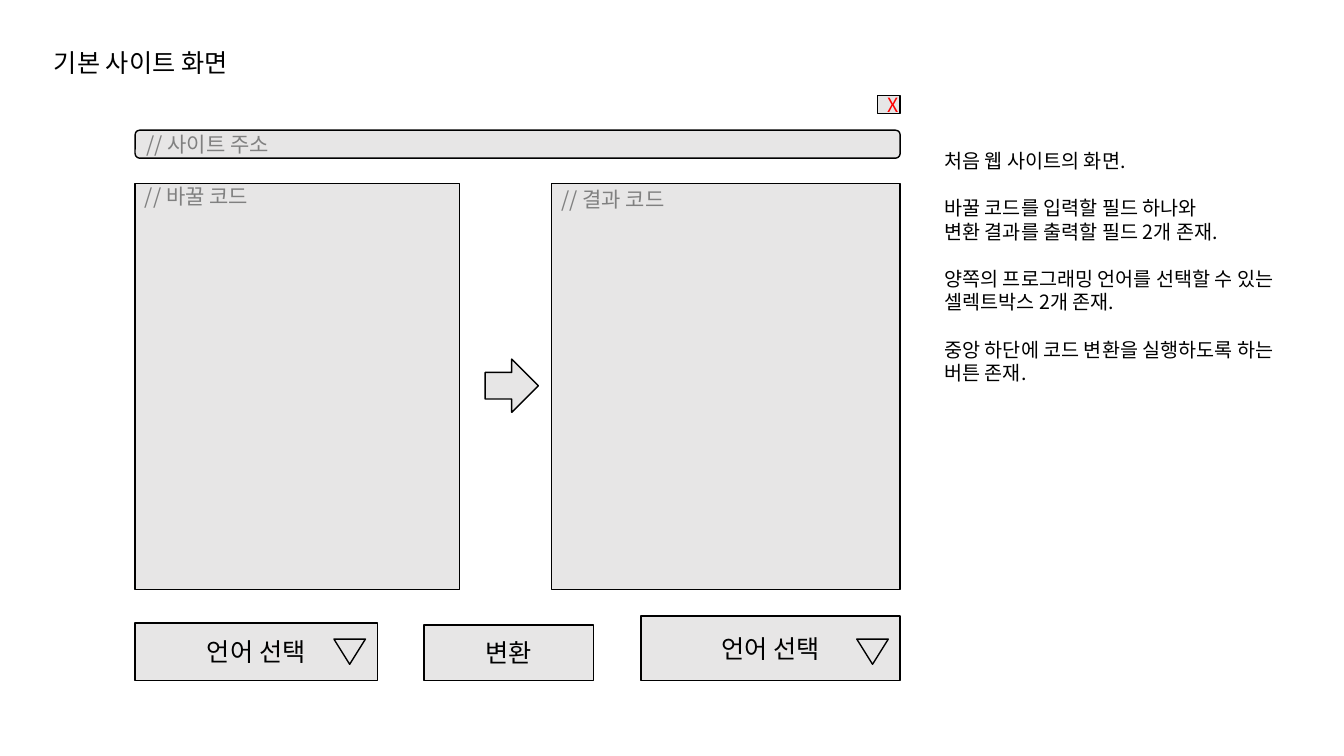
from pptx import Presentation
from pptx.dml.color import RGBColor as RGB
from pptx.enum.shapes import MSO_SHAPE as SHAPE
from pptx.enum.text import MSO_ANCHOR as ANCHOR, PP_ALIGN as ALIGN
from pptx.oxml.ns import qn
from pptx.util import Pt

# Content
TITLE = "기본 사이트 화면"
NOTES = [
    ["처음 웹 사이트의 화면."],
    ["바꿀 코드를 입력할 필드 하나와 ", "변환 결과를 출력할 필드 2개 존재."],
    ["양쪽의 프로그래밍 언어를 선택할 수 있는", "셀렉트박스 2개 존재."],
    ["중앙 하단에 코드 변환을 실행하도록 하는", "버튼 존재."],
]
FONT = "Noto Sans CJK KR"
HEX = {"ink": "000000", "fill": "E7E6E6", "hint": "808080", "close": "FF0000"}

# Frame of the mock site
LEFT, RIGHT = 96.5, 643
TOP, BASE = 131, 486
TALL = 290

# Panels: text, left, width, inset above the text
PANELS = [("// 바꿀 코드", LEFT, 232, 0), ("// 결과 코드", 394, RIGHT - 394, 2)]
# Buttons: text, left, width, height, has a drop mark
BUTTONS = [
    ("변환", 303, 121, 39.5, False),
    ("언어 선택", LEFT, 173, 41, True),
    ("언어 선택", 458, RIGHT - 458, 46, True),
]

deck = Presentation()
deck.slide_width, deck.slide_height = Pt(960), Pt(540)
slide = deck.slides.add_slide(deck.slide_layouts[6])


def style(para, size, tint, align=ALIGN.LEFT):
    para.alignment = align
    para.line_spacing = Pt(size * 1.2)
    for run in para.runs:
        font = run.font
        font.name, font.size = FONT, Pt(size)
        font.color.rgb = RGB.from_string(HEX[tint])
        east = font._element.makeelement(qn("a:ea"), {"typeface": FONT})
        font._element.find(qn("a:latin")).addnext(east)


def draw(kind, x, y, wide, high, text="", size=18, tint="ink", align=ALIGN.CENTER):
    part = slide.shapes.add_shape(kind, Pt(x), Pt(y), Pt(wide), Pt(high))
    part.shadow.inherit = False
    part.fill.solid()
    part.fill.fore_color.rgb = RGB.from_string(HEX["fill"])
    part.line.color.rgb = RGB.from_string(HEX["ink"])
    part.line.width = Pt(1)
    if text:
        frame = part.text_frame
        frame.text = text
        frame.vertical_anchor = ANCHOR.MIDDLE
        style(frame.paragraphs[0], size, tint, align)
    return part


def label(x, y, wide, high, groups, size):
    frame = slide.shapes.add_textbox(Pt(x), Pt(y), Pt(wide), Pt(high)).text_frame
    frame.word_wrap = True
    frame.text = "\n".join(line for group in groups for line in group)
    paras = iter(frame.paragraphs)
    for i, group in enumerate(groups):
        for j, _ in enumerate(group):
            para = next(paras)
            style(para, size, "ink")
            if i and not j:
                para.space_before = Pt(size * 1.2)


# Title
label(31.5, 30, 155, 29, [[TITLE]], 18)

# Code panels with the arrow between them
for text, x, wide, inset in PANELS:
    frame = draw(SHAPE.RECTANGLE, x, TOP, wide, TALL, text, 15, "hint", ALIGN.LEFT).text_frame
    frame.vertical_anchor = ANCHOR.TOP
    frame.margin_top = Pt(inset)
draw(SHAPE.RIGHT_ARROW, 346.5, 256.5, 38, 38)

# Buttons along the base line
for text, x, wide, high, drop in BUTTONS:
    draw(SHAPE.RECTANGLE, x, BASE - high, wide, high, text)
    if drop:
        mark = draw(SHAPE.ISOSCELES_TRIANGLE, x + wide - 31, BASE - 29.5, 22.5, 18)
        mark.rotation = 180

# Address bar and close box
draw(SHAPE.ROUNDED_RECTANGLE, LEFT, 93, RIGHT - LEFT, 20, "// 사이트 주소", 15, "hint", ALIGN.LEFT)
draw(SHAPE.RECTANGLE, RIGHT - 16, 68, 16, 13, "X", 14, "close")

# Notes
label(667.5, 103, 279, 177, NOTES, 14)

deck.save("out.pptx")
